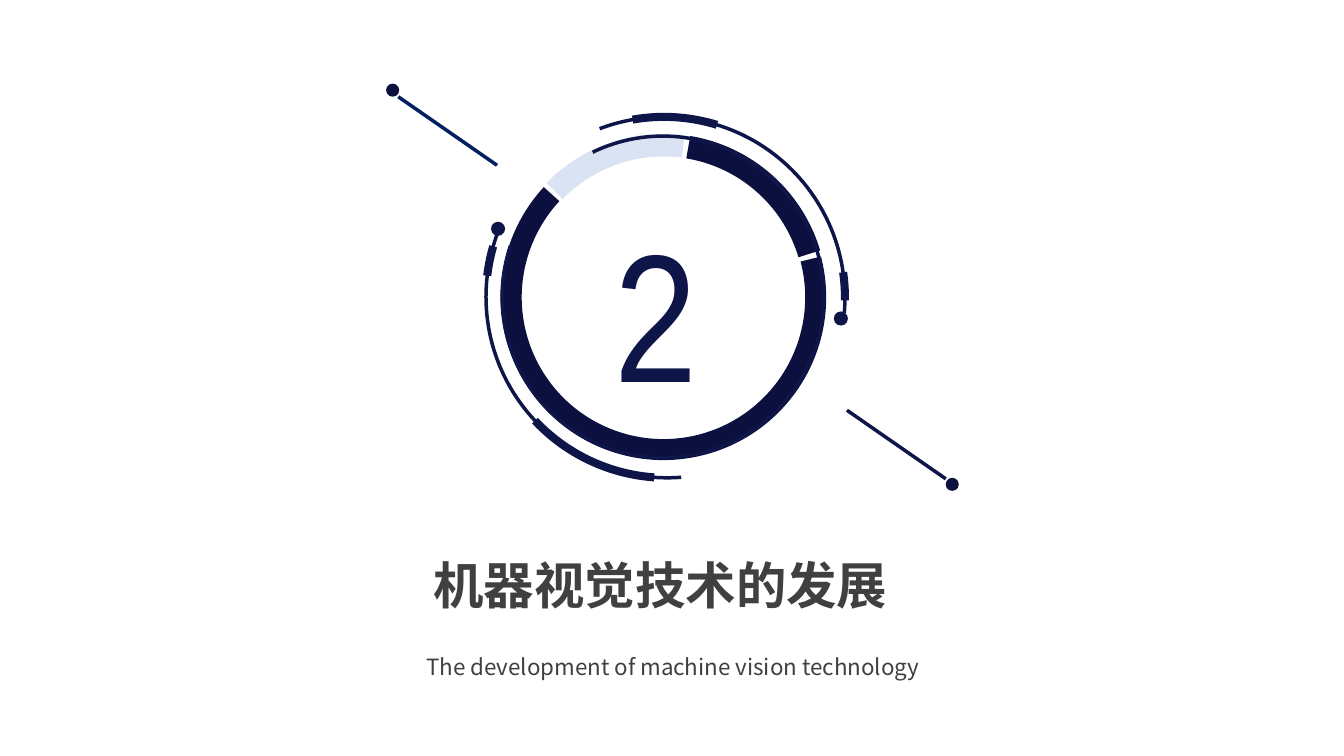
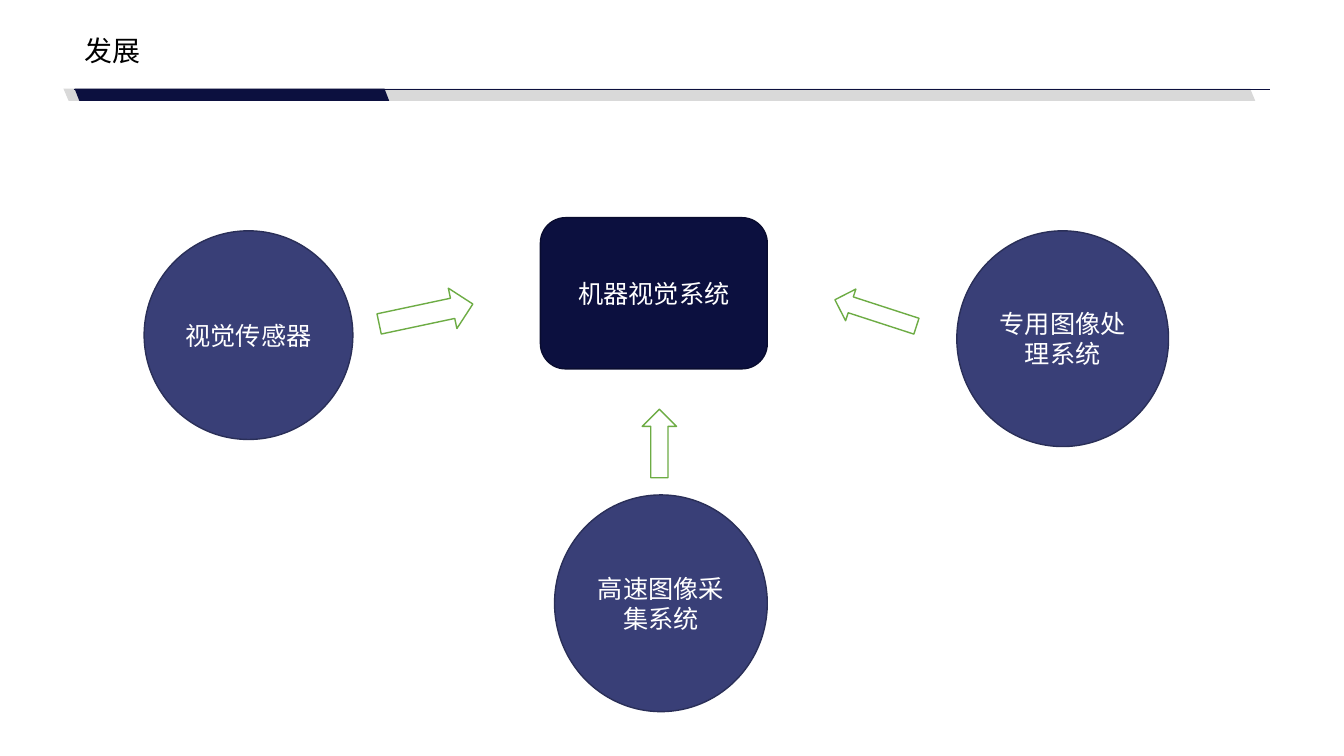
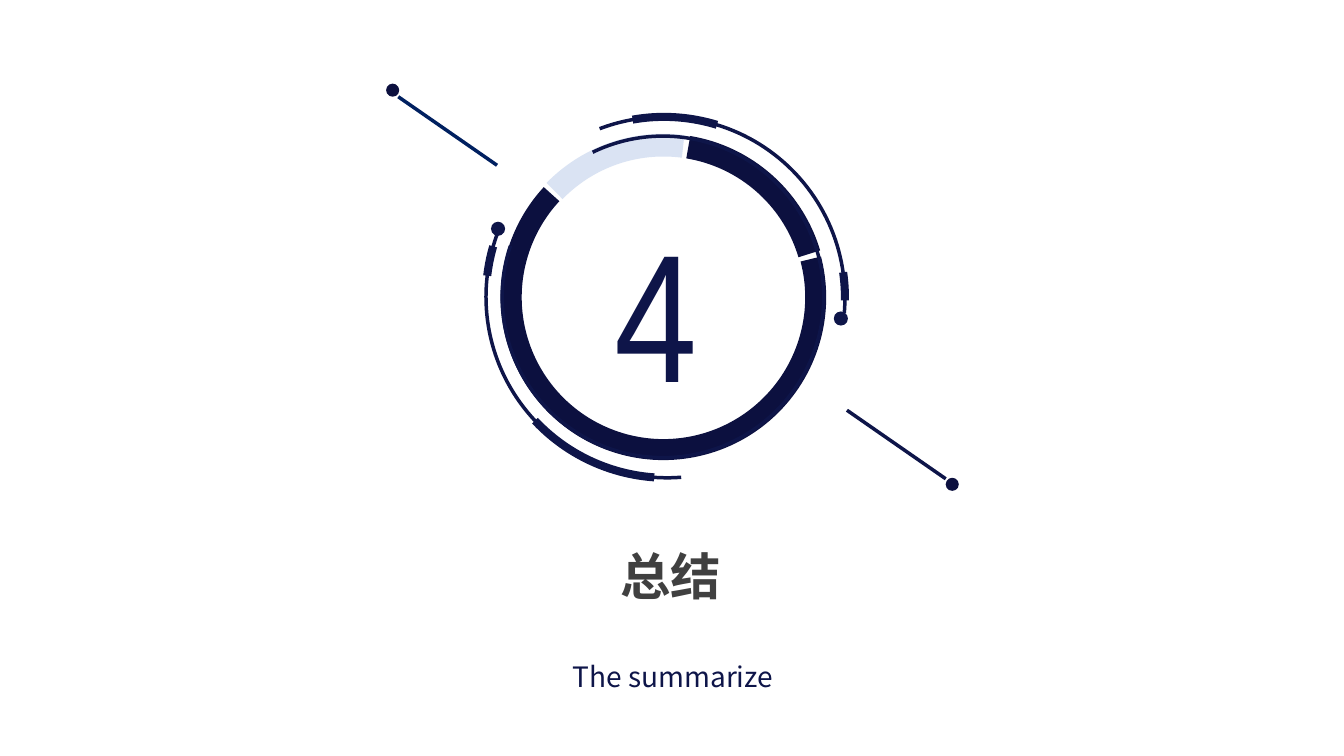
from dataclasses import dataclass
from typing import NamedTuple

from lxml.etree import SubElement
from pptx import Presentation
from pptx.dml.color import RGBColor
from pptx.enum.lang import MSO_LANGUAGE_ID as Language
from pptx.enum.shapes import MSO_CONNECTOR as Connector, MSO_SHAPE as Preset
from pptx.enum.text import MSO_ANCHOR as Anchor, MSO_AUTO_SIZE as AutoSize, PP_ALIGN as Align
from pptx.oxml.ns import qn
from pptx.util import Emu, Pt

PX = 9144
DEGREE = 0.6
TITLE_ONLY = 5

INK = RGBColor(0x0E, 0x15, 0x49)
NAVY = RGBColor(0x0C, 0x10, 0x3F)
NAVY_EDGE = RGBColor(0x09, 0x0C, 0x2F)
INDIGO = RGBColor(0x39, 0x3F, 0x77)
INDIGO_EDGE = RGBColor(0x2A, 0x2F, 0x58)
BLUE = RGBColor(0x00, 0x20, 0x60)
PALE_BLUE = RGBColor(0xDA, 0xE3, 0xF3)
GREY = RGBColor(0xD9, 0xD9, 0xD9)
DARK_GREY = RGBColor(0x40, 0x40, 0x40)
GREEN = RGBColor(0x6D, 0xAC, 0x44)
BLACK = RGBColor(0, 0, 0)
WHITE = RGBColor(0xFF, 0xFF, 0xFF)

SANS = "Noto Sans CJK SC"
NARROW = "Arial Narrow"
CONDENSED = "Roboto Condensed"


class Frame(NamedTuple):
    left: int
    top: int
    width: int
    height: int


class Style(NamedTuple):
    size: int
    color: RGBColor
    font: str = SANS
    bold: bool = False
    align: Align = Align.LEFT
    spacing: float = 1.0


@dataclass(frozen=True)
class Arc:
    ring: Frame
    start: float
    end: float
    color: RGBColor
    weight: float
    turn: int = 0


@dataclass(frozen=True)
class Ray:
    start: tuple[int, int]
    end: tuple[int, int]
    color: RGBColor


@dataclass(frozen=True)
class Dot:
    left: int
    top: int
    size: int
    color: RGBColor


@dataclass(frozen=True)
class Node:
    preset: Preset
    frame: Frame
    text: str
    fill: RGBColor
    edge: RGBColor


@dataclass(frozen=True)
class Arrow:
    preset: Preset
    frame: Frame
    turn: int


@dataclass(frozen=True)
class Section:
    number: str
    heading: str
    heading_frame: Frame
    subtitle: str
    subtitle_frame: Frame
    subtitle_style: Style


NUMBER_STYLE = Style(130, INK, NARROW)
HEADING_STYLE = Style(36, DARK_GREY, bold=True)
TITLE_STYLE = Style(20, BLACK, align=Align.JUSTIFY, spacing=0.9)
NODE_STYLE = Style(18, WHITE, CONDENSED, align=Align.CENTER)

LEFT_RING = Frame(482, 115, 359, 359)
RIGHT_RING = Frame(479, 116, 359, 359)
MAIN_RING = Frame(507, 144, 302, 302)
EDGE_RING = Frame(498, 135, 319, 319)

ARCS = (
    Arc(LEFT_RING, 265.5, 20.64, INK, 2.5, 180),
    Arc(LEFT_RING, 274.04, 316.83, INK, 5.75, 180),
    Arc(LEFT_RING, 6.71, 16.22, INK, 5.75, 180),
    Arc(MAIN_RING, 224.34, 277.43, PALE_BLUE, 16.25),
    Arc(MAIN_RING, 345.41, 222.71, NAVY, 15),
    Arc(MAIN_RING, 279.4, 343.38, NAVY, 16.25),
    Arc(EDGE_RING, 244.09, 198.5, INK, 2.5),
    Arc(RIGHT_RING, 249.19, 4.88, INK, 2.5),
    Arc(RIGHT_RING, 351.88, 0.81, INK, 5.75),
    Arc(RIGHT_RING, 260.04, 287.03, INK, 5.75),
)
RAYS = (
    Ray((395, 96), (493, 164), BLUE),
    Ray((840, 407), (938, 475), INK),
)
DOTS = (
    Dot(487, 220, 14, INK),
    Dot(383, 83, 13, NAVY),
    Dot(938, 474, 13, NAVY),
    Dot(827, 309, 14, INK),
)
NODES = (
    Node(Preset.ROUNDED_RECTANGLE, Frame(536, 216, 225, 150), "机器视觉系统", NAVY, NAVY_EDGE),
    Node(Preset.OVAL, Frame(143, 229, 207, 207), "视觉传感器", INDIGO, INDIGO_EDGE),
    Node(Preset.OVAL, Frame(550, 491, 211, 215), "高速图像采集系统", INDIGO, INDIGO_EDGE),
    Node(Preset.OVAL, Frame(949, 229, 210, 214), "专用图像处理系统", INDIGO, INDIGO_EDGE),
)
ARROWS = (
    Arrow(Preset.RIGHT_ARROW, Frame(375, 291, 95, 41), 348),
    Arrow(Preset.LEFT_ARROW, Frame(826, 294, 85, 33), 18),
    Arrow(Preset.UP_ARROW, Frame(637, 406, 34, 68), 0),
)
DEVELOPMENT = Section(
    "2",
    "机器视觉技术的发展",
    Frame(420, 545, 497, 71),
    "The development of machine vision technology",
    Frame(409, 616, 517, 64),
    Style(16, DARK_GREY, align=Align.CENTER, spacing=2.0),
)
SUMMARY = Section(
    "4",
    "总结",
    Frame(605, 536, 127, 71),
    "The summarize",
    Frame(409, 616, 517, 77),
    Style(20, INK, align=Align.CENTER, spacing=2.0),
)


def emu(*lengths: int) -> list[Emu]:
    return [Emu(length * PX) for length in lengths]


def write(box, text: str, style: Style, anchor: Anchor = Anchor.TOP) -> None:
    frame = box.text_frame
    frame.text = text
    frame.vertical_anchor = anchor
    for para in frame.paragraphs:
        para.alignment = style.align
        para.line_spacing = style.spacing
        for span in para.runs:
            font = span.font
            font.size, font.bold, font.name = Pt(style.size), style.bold, style.font
            font.color.rgb = style.color
            font.language_id = Language.SIMPLIFIED_CHINESE
            SubElement(font._element, qn("a:ea"), typeface=style.font)


def add_text(shapes, frame: Frame, text: str, style: Style, wrap: bool = True) -> None:
    box = shapes.add_textbox(*emu(*frame))
    write(box, text, style)
    box.text_frame.word_wrap = wrap
    box.text_frame.auto_size = AutoSize.SHAPE_TO_FIT_TEXT


def set_title(page, frame: Frame, text: str, style: Style, anchor: Anchor, fit: AutoSize) -> None:
    title = page.shapes.title
    title.left, title.top, title.width, title.height = emu(*frame)
    write(title, text, style, anchor)
    title.text_frame.word_wrap = True
    title.text_frame.auto_size = fit


def add_preset(shapes, preset: Preset, frame: Frame, fill: RGBColor | None = None,
               edge: RGBColor | None = None, weight: float = 1):
    shape = shapes.add_shape(preset, *emu(*frame))
    shape.shadow.inherit = False
    if fill is None:
        shape.fill.background()
    else:
        shape.fill.solid()
        shape.fill.fore_color.rgb = fill
    if edge is None:
        shape.line.fill.background()
    else:
        shape.line.color.rgb = edge
        shape.line.width = Pt(weight)
    return shape


def add_line(shapes, start: tuple[int, int], end: tuple[int, int],
             color: RGBColor, weight: float) -> None:
    line = shapes.add_connector(Connector.STRAIGHT, *emu(*start, *end))
    line.line.color.rgb = color
    line.line.width = Pt(weight)
    SubElement(line._element.spPr, qn("a:effectLst"))


def add_band(shapes, frame: Frame, slant: float, color: RGBColor) -> None:
    band = add_preset(shapes, Preset.PARALLELOGRAM, frame, color)
    band.adjustments[0] = slant
    band._element.spPr.find(qn("a:xfrm")).set("flipH", "1")


def add_emblem(page, number: str) -> None:
    shapes = page.shapes.add_group_shape().shapes
    add_text(shapes, Frame(600, 194, 112, 229), number, NUMBER_STYLE, wrap=False)
    for arc in ARCS:
        shape = add_preset(shapes, Preset.ARC, arc.ring, edge=arc.color, weight=arc.weight)
        shape.adjustments[0] = arc.start * DEGREE
        shape.adjustments[1] = arc.end * DEGREE
        shape.rotation = arc.turn
    for ray in RAYS:
        add_line(shapes, ray.start, ray.end, ray.color, 2.5)
    for dot in DOTS:
        add_preset(shapes, Preset.OVAL, Frame(dot.left, dot.top, dot.size, dot.size), dot.color)


def add_page(deck):
    return deck.slides.add_slide(deck.slide_layouts[TITLE_ONLY])


def build_section(deck, section: Section) -> None:
    page = add_page(deck)
    set_title(page, section.heading_frame, section.heading, HEADING_STYLE,
              Anchor.TOP, AutoSize.SHAPE_TO_FIT_TEXT)
    add_emblem(page, section.number)
    add_text(page.shapes, section.subtitle_frame, section.subtitle, section.subtitle_style)


def build_diagram(deck) -> None:
    page = add_page(deck)
    set_title(page, Frame(74, 19, 386, 53), "发展", TITLE_STYLE, Anchor.BOTTOM, AutoSize.NONE)
    add_band(page.shapes, Frame(63, 88, 1182, 12), 0.42, GREY)
    add_band(page.shapes, Frame(74, 88, 312, 12), 0.39, NAVY)
    add_line(page.shapes, (73, 88), (1260, 88), NAVY, 0.25)
    for node in NODES:
        shape = add_preset(page.shapes, node.preset, node.frame, node.fill, node.edge)
        write(shape, node.text, NODE_STYLE, Anchor.MIDDLE)
    for arrow in ARROWS:
        shape = add_preset(page.shapes, arrow.preset, arrow.frame, WHITE, GREEN)
        shape.rotation = arrow.turn


def main() -> None:
    deck = Presentation()
    deck.slide_width, deck.slide_height = emu(1333, 750)
    build_section(deck, DEVELOPMENT)
    build_diagram(deck)
    build_section(deck, SUMMARY)
    deck.save("out.pptx")


if __name__ == "__main__":
    main()
